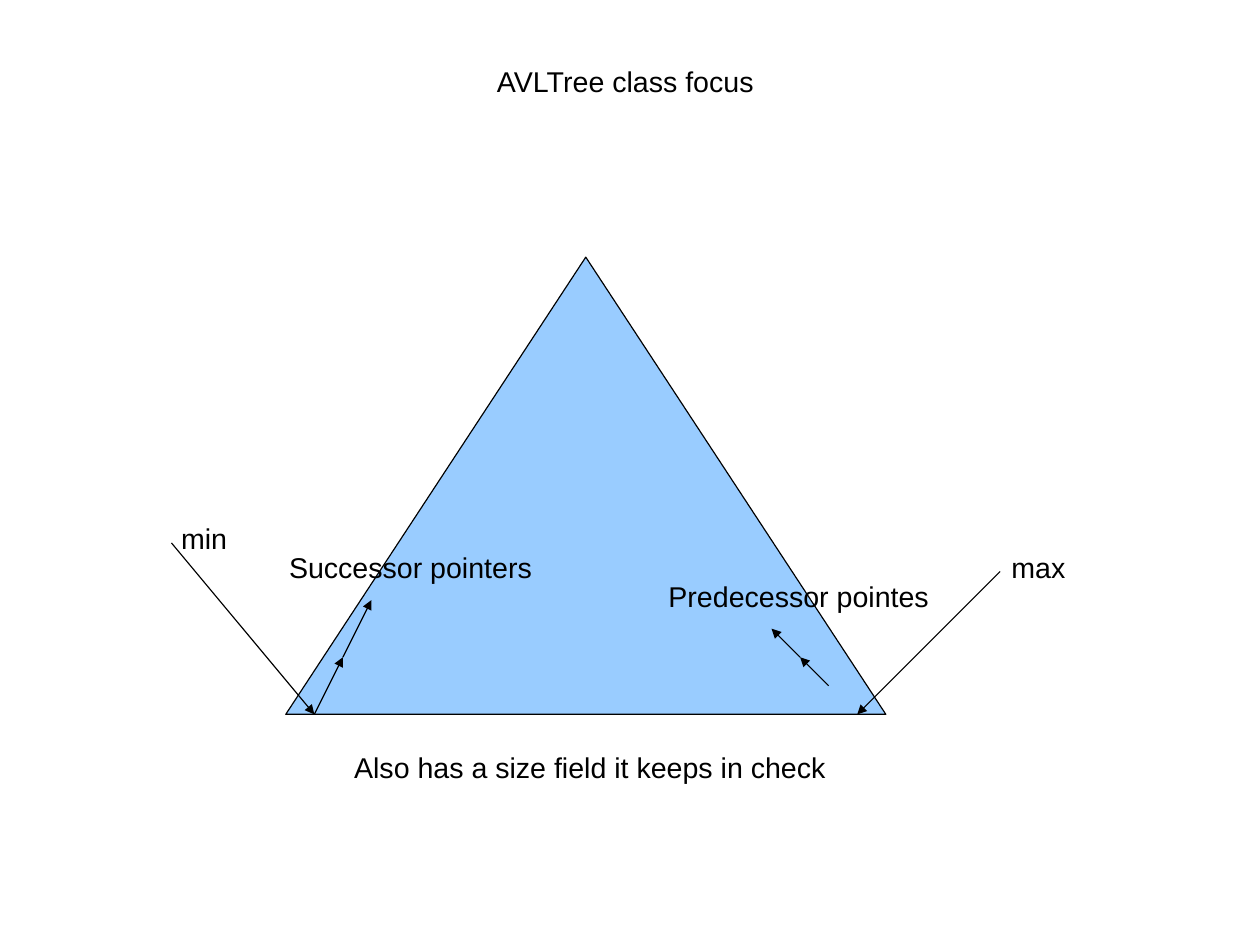
"""Draw the AVLTree class focus slide."""
from dataclasses import dataclass
from itertools import pairwise

from lxml.etree import SubElement
from pptx import Presentation
from pptx.dml.color import RGBColor
from pptx.enum.shapes import MSO_CONNECTOR as Connector, MSO_SHAPE as Preset
from pptx.enum.text import MSO_ANCHOR as Anchor, MSO_AUTO_SIZE as Fit, PP_ALIGN as Align
from pptx.oxml.ns import qn
from pptx.slide import Slide
from pptx.util import Pt

Point = tuple[float, float]


@dataclass(frozen=True)
class Theme:
    ink: RGBColor = RGBColor(0x00, 0x00, 0x00)
    tree: RGBColor = RGBColor(0x99, 0xCC, 0xFF)
    font: str = "Arial"
    text_size: float = 18
    line_width: float = 0.75
    line_spacing: float = 1.04


@dataclass(frozen=True)
class Label:
    text: str
    left: float
    top: float
    width: float
    height: float = 29.5


@dataclass(frozen=True)
class PointerChain:
    start: Point
    step: Point
    count: int = 1

    def stops(self) -> list[Point]:
        """Return the evenly spaced points that the pointers join."""
        (x, y), (dx, dy) = self.start, self.step
        return [(x + i * dx, y + i * dy) for i in range(self.count + 1)]


THEME = Theme()
SLIDE_SIZE = (793.7, 595.28)
TREE_BOX = (180, 162, 378, 288)

CHAINS = [
    PointerChain((108, 342), (90, 108)),
    PointerChain((630, 360), (-90, 90)),
    PointerChain((522, 432), (-18, -18), count=2),
    PointerChain((198, 450), (18, -36), count=2),
]

LABELS = [
    Label("AVLTree class focus", 306, 36, 177),
    Label("min", 107, 324, 44),
    Label("max", 630, 342, 49),
    Label("Predecessor pointes", 414, 360, 180),
    Label("Successor pointers", 175, 342, 169),
    Label("Also has a size field it keeps in check", 216, 468, 313, 51.85),
]


def add_tree(slide: Slide) -> None:
    """Draw the triangle that stands for the tree."""
    tree = slide.shapes.add_shape(Preset.ISOSCELES_TRIANGLE, *map(Pt, TREE_BOX))
    tree.shadow.inherit = False
    tree.fill.solid()
    tree.fill.fore_color.rgb = THEME.tree
    tree.line.color.rgb = THEME.ink
    tree.line.width = Pt(THEME.line_width)


def add_pointer(slide: Slide, start: Point, end: Point) -> None:
    """Draw an arrow from start to end."""
    pointer = slide.shapes.add_connector(
        Connector.STRAIGHT, *map(Pt, (*start, *end))
    )
    pointer.line.color.rgb = THEME.ink
    pointer.line.width = Pt(THEME.line_width)
    properties = pointer._element.spPr
    SubElement(properties.find(qn("a:ln")), qn("a:tailEnd"), type="triangle")
    SubElement(properties, qn("a:effectLst"))


def add_text(
    slide: Slide,
    label: Label,
    *,
    size: float = THEME.text_size,
    color: RGBColor = THEME.ink,
    align: Align = Align.LEFT,
) -> None:
    """Write a label in an unwrapped text box."""
    box = slide.shapes.add_textbox(
        *map(Pt, (label.left, label.top, label.width, label.height))
    )
    frame = box.text_frame
    frame.word_wrap = False
    frame.auto_size = Fit.SHAPE_TO_FIT_TEXT
    frame.vertical_anchor = Anchor.TOP
    paragraph = frame.paragraphs[0]
    paragraph.alignment = align
    paragraph.line_spacing = THEME.line_spacing
    run = paragraph.add_run()
    run.text = label.text
    run.font.name = THEME.font
    run.font.size = Pt(size)
    run.font.color.rgb = color


def main() -> None:
    """Build and save the slide."""
    deck = Presentation()
    deck.slide_width, deck.slide_height = map(Pt, SLIDE_SIZE)
    slide = deck.slides.add_slide(deck.slide_layouts[6])
    add_tree(slide)
    for chain in CHAINS:
        for start, end in pairwise(chain.stops()):
            add_pointer(slide, start, end)
    for label in LABELS:
        add_text(slide, label)
    deck.save("out.pptx")


if __name__ == "__main__":
    main()
